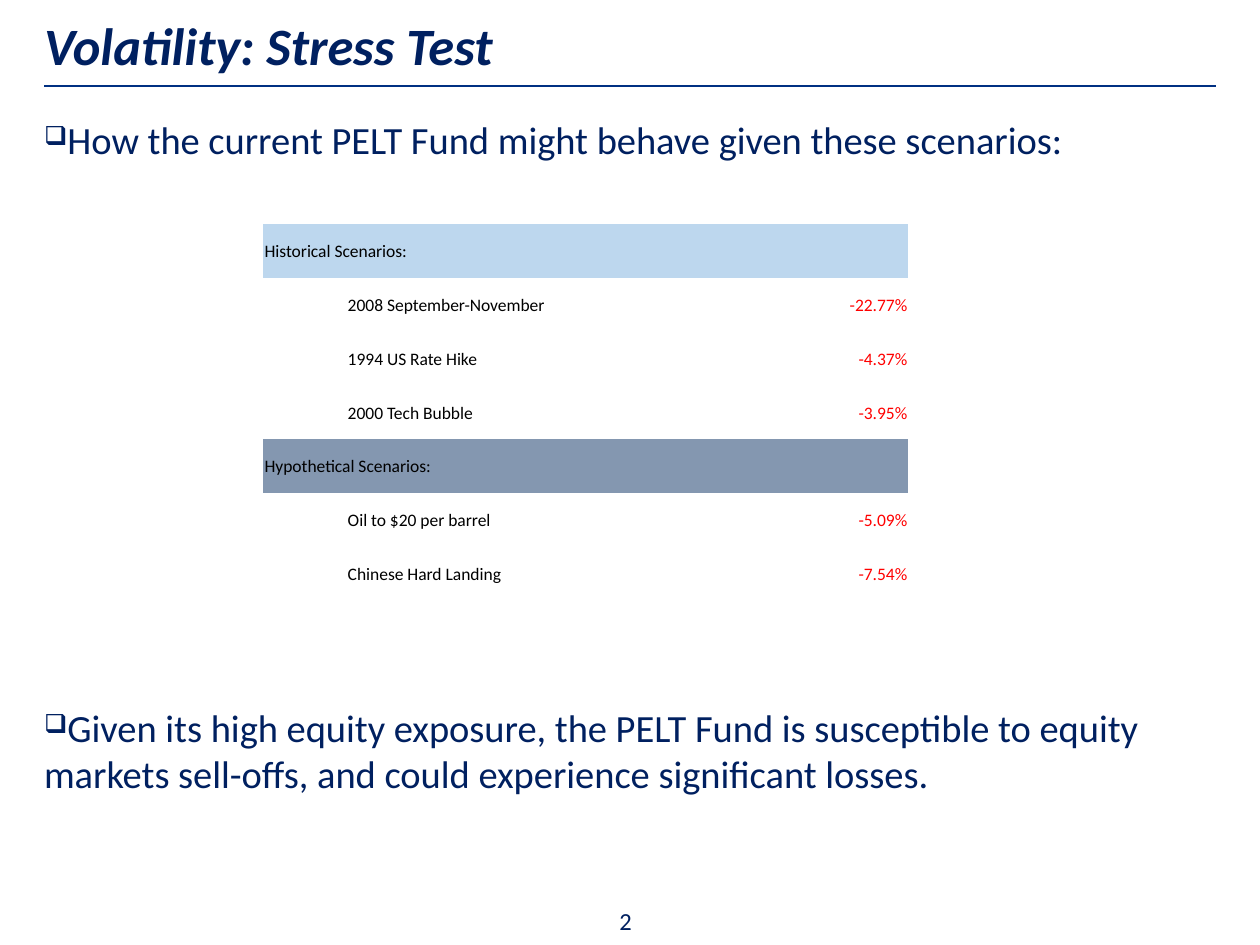
from dataclasses import dataclass

from lxml.etree import SubElement
from pptx import Presentation
from pptx.dml.color import RGBColor
from pptx.enum.shapes import MSO_CONNECTOR
from pptx.enum.text import MSO_ANCHOR, PP_ALIGN
from pptx.oxml.ns import qn
from pptx.util import Inches, Pt

FONT = "Calibri"
NAVY, RULE_BLUE = "002060", "003082"
BLACK, RED = "000000", "FF0000"
NO_STYLE = "{2D5ABB26-0587-4C30-8999-92F81FD0307C}"


@dataclass
class TextBlock:
    text: str
    left: float
    top: float
    width: float
    height: float
    size: float
    inset: float = 0
    anchor: MSO_ANCHOR = MSO_ANCHOR.TOP
    align: PP_ALIGN = PP_ALIGN.LEFT
    emphasis: bool = False
    bullet: bool = False


@dataclass
class ScenarioGroup:
    heading: str
    fill: str
    results: list[tuple[str, str]]


BLOCKS = [
    TextBlock("Volatility: Stress Test", 0.35, 0.13, 9.29, 0.47, 30,
              anchor=MSO_ANCHOR.BOTTOM, emphasis=True),
    TextBlock("How the current PELT Fund might behave given these scenarios:",
              0.35, 0.92, 9.29, 0.5, 22, bullet=True),
    TextBlock("Given its high equity exposure, the PELT Fund is susceptible to equity "
              "markets sell-offs, and could experience significant losses.",
              0.35, 5.59, 9.29, 0.9, 22, bullet=True),
    TextBlock("2", 4.75, 7.14, 0.43, 0.34, 14, inset=0.05, align=PP_ALIGN.CENTER),
]

GROUPS = [
    ScenarioGroup("Historical Scenarios:", "BDD7EE", [
        ("2008 September-November", "-22.77%"),
        ("1994 US Rate Hike", "-4.37%"),
        ("2000 Tech Bubble", "-3.95%"),
    ]),
    ScenarioGroup("Hypothetical Scenarios:", "8497B0", [
        ("Oil to $20 per barrel", "-5.09%"),
        ("Chinese Hard Landing", "-7.54%"),
    ]),
]
COLUMN_WIDTHS = [0.66, 2.4, 2.06]
TABLE_HEIGHT = 2.99


def color(value: str) -> RGBColor:
    return RGBColor.from_string(value)


def style_font(paragraph, size: float, font_color: str) -> None:
    paragraph.font.name = FONT
    paragraph.font.size = Pt(size)
    paragraph.font.color.rgb = color(font_color)


def add_bullet(paragraph) -> None:
    properties = paragraph._p.get_or_add_pPr()
    properties.set("marL", "0")
    properties.set("indent", str(-Inches(0.5)))
    bullet_color = SubElement(properties, qn("a:buClr"))
    SubElement(bullet_color, qn("a:srgbClr"), val=NAVY)
    SubElement(properties, qn("a:buSzPct"), val="68000")
    SubElement(properties, qn("a:buChar"), char="❑")


def add_text(slide, block: TextBlock) -> None:
    shape = slide.shapes.add_textbox(Inches(block.left), Inches(block.top),
                                     Inches(block.width), Inches(block.height))
    frame = shape.text_frame
    frame.word_wrap = True
    frame.vertical_anchor = block.anchor
    frame.margin_left = frame.margin_right = Inches(block.inset)
    frame.margin_top = frame.margin_bottom = Inches(block.inset)
    paragraph = frame.paragraphs[0]
    paragraph.text = block.text
    paragraph.alignment = block.align
    if block.bullet:
        add_bullet(paragraph)
    style_font(paragraph, block.size, NAVY)
    paragraph.font.bold = paragraph.font.italic = block.emphasis


def add_rule(slide) -> None:
    rule = slide.shapes.add_connector(MSO_CONNECTOR.STRAIGHT, Inches(0.35), Inches(0.68),
                                      Inches(9.65), Inches(0.68))
    rule.line.color.rgb = color(RULE_BLUE)
    rule.line.width = Pt(1)
    SubElement(rule._element.spPr, qn("a:effectLst"))


def fill_cell(cell, text: str = "", font_color: str = BLACK,
              align: PP_ALIGN = PP_ALIGN.LEFT, fill: str | None = None) -> None:
    cell.vertical_anchor = MSO_ANCHOR.MIDDLE
    cell.margin_left = cell.margin_right = cell.margin_top = Inches(0.01)
    cell.margin_bottom = 0
    if fill:
        cell.fill.solid()
        cell.fill.fore_color.rgb = color(fill)
    else:
        cell.fill.background()
    paragraph = cell.text_frame.paragraphs[0]
    paragraph.text = text
    paragraph.alignment = align
    style_font(paragraph, 10, font_color)


def add_scenario_table(slide, groups: list[ScenarioGroup]) -> None:
    row_count = sum(1 + len(group.results) for group in groups)
    frame = slide.shapes.add_table(row_count, len(COLUMN_WIDTHS), Inches(2.09), Inches(1.78),
                                   Inches(sum(COLUMN_WIDTHS)), Inches(TABLE_HEIGHT))
    table = frame.table
    table.first_row = table.horz_banding = False
    table._tbl.tblPr.find(qn("a:tableStyleId")).text = NO_STYLE
    for column, width in zip(table.columns, COLUMN_WIDTHS):
        column.width = Inches(width)

    row = 0
    for group in groups:
        table.cell(row, 0).merge(table.cell(row, 1))
        fill_cell(table.cell(row, 0), group.heading, fill=group.fill)
        fill_cell(table.cell(row, 2), fill=group.fill)
        row += 1
        for scenario, change in group.results:
            fill_cell(table.cell(row, 0))
            fill_cell(table.cell(row, 1), scenario)
            fill_cell(table.cell(row, 2), change, RED, PP_ALIGN.RIGHT)
            row += 1


def main() -> None:
    presentation = Presentation()
    presentation.slide_width = Inches(10)
    presentation.slide_height = Inches(7.5)
    slide = presentation.slides.add_slide(presentation.slide_layouts[6])

    # Title rule, then title, statements and page number
    add_rule(slide)
    for block in BLOCKS:
        add_text(slide, block)

    # Stress test results
    add_scenario_table(slide, GROUPS)

    presentation.save("out.pptx")


if __name__ == "__main__":
    main()
